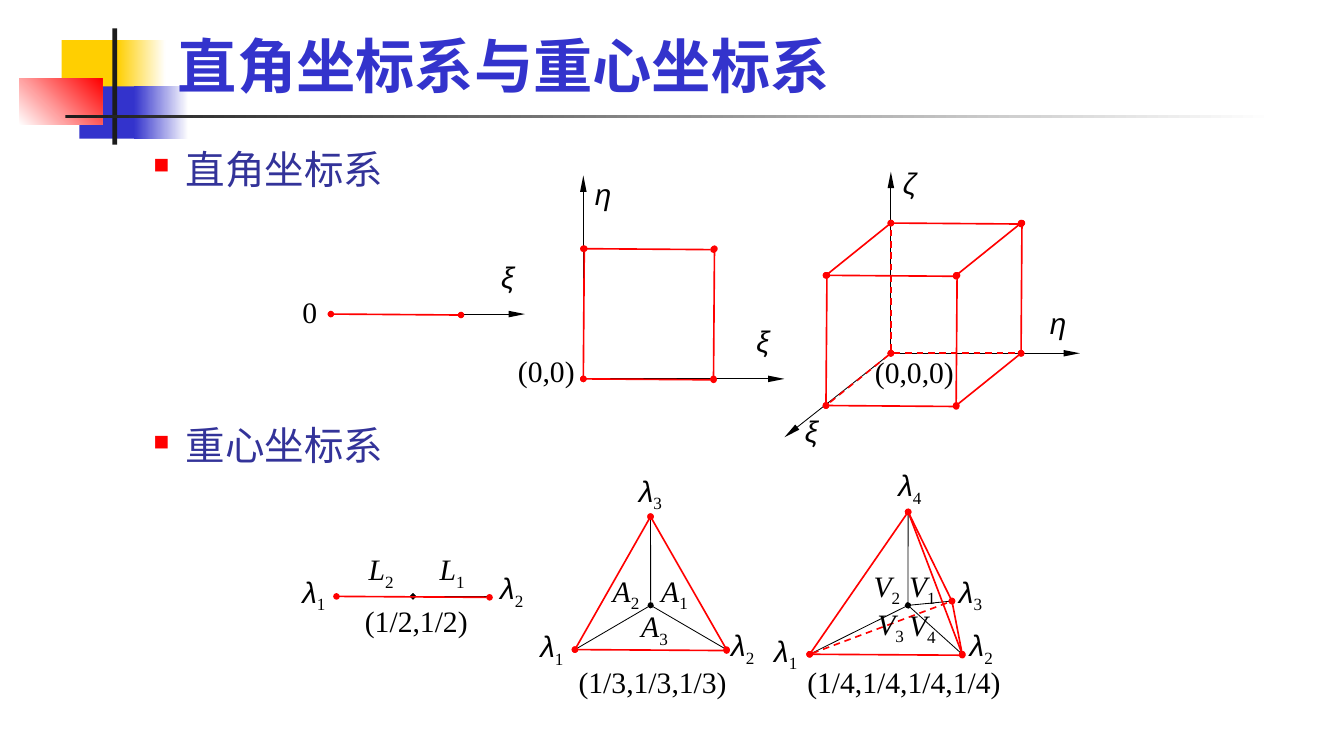
from dataclasses import dataclass
from itertools import combinations, product
from typing import NamedTuple

from lxml import etree
from pptx import Presentation
from pptx.dml.color import RGBColor
from pptx.enum.dml import MSO_LINE_DASH_STYLE as Dash
from pptx.enum.shapes import MSO_CONNECTOR as Connector, MSO_SHAPE as Shape
from pptx.enum.text import MSO_ANCHOR as Anchor, MSO_AUTO_SIZE as AutoSize, PP_ALIGN as Align
from pptx.oxml.ns import qn
from pptx.util import Cm, Pt

BLACK, RED, WHITE = "000000", "FF0000", "FFFFFF"
SERIF, SANS = "Times New Roman", "Arial"


class Point(NamedTuple):
    x: float
    y: float


@dataclass(frozen=True)
class Band:
    left: float
    top: float
    width: float
    height: float
    start: str
    end: str = ""
    angle: float = 0


@dataclass(frozen=True)
class Stroke:
    colour: str
    width: float
    head: str = ""
    tail: str = ""
    dashed: bool = False


@dataclass(frozen=True)
class Label:
    text: str
    x: float
    y: float
    width: float = 0.58
    sub: str = ""


@dataclass(frozen=True)
class Simplex:
    vertices: tuple[Point, ...]
    labels: tuple[Label, ...]
    hidden: tuple[int, int] | None = None


AXIS = Stroke(BLACK, 0.5, "diamond", "triangle")
MEDIAN = Stroke(BLACK, 0.5, "diamond")
EDGE = Stroke(RED, 1, "oval", "oval")
HIDDEN_EDGE = Stroke(RED, 1, "oval", "oval", dashed=True)
SKEW = 0.02  # keeps upright and level edges at full weight on screen

BANDS = [
    Band(1.32, 0.86, 1.37, 1.12, "FFCF01"),
    Band(2.51, 0.86, 1.04, 1.12, "FFCF01", WHITE),
    Band(1.7, 1.85, 1.32, 1.12, "3333CC"),
    Band(2.87, 1.85, 1.17, 1.12, "3333CC", WHITE),
    Band(0.41, 1.68, 1.78, 0.99, WHITE, RED, 45),
    Band(2.41, 0.61, 0.1, 2.49, "1C1C1C"),
    Band(1.4, 2.46, 25.91, 0.08, "1C1C1C", WHITE),
]

# Cartesian frames: origin, axis ends, labels
SIDE = 2.79
LINE_ORIGIN = Point(7.09, 6.73)
SQUARE_ORIGIN = Point(12.5, 8.12)
CUBE_ORIGIN = Point(19.09, 7.57)
CUBE_DEPTH = Point(-1.39, 1.12)
AXES = [
    (CUBE_ORIGIN, Point(16.81, 9.37)),
    (CUBE_ORIGIN, Point(23.14, 7.57)),
    (CUBE_ORIGIN, Point(19.09, 3.68)),
    (SQUARE_ORIGIN, Point(12.5, 3.76)),
    (SQUARE_ORIGIN, Point(16.81, 8.12)),
    (LINE_ORIGIN, Point(11.25, 6.73)),
]
CARTESIAN_LABELS = [
    Label("ξ", 10.74, 5.54), Label("ξ", 16.21, 6.93), Label("η", 22.5, 6.53),
    Label("η", 12.75, 3.76), Label("ζ", 19.35, 3.53), Label("ξ", 17.25, 8.84),
    Label("0", 6.48, 6.3), Label("(0,0)", 11.1, 7.57, 1.47),
    Label("(0,0,0)", 18.75, 7.59, 2.11),
]

# Barycentric frames: vertices in the order λ1, λ2, ...
SIMPLICES = [
    Simplex(
        (Point(7.21, 12.78), Point(10.49, 12.78)),
        (Label("λ", 6.48, 12.29, sub="1"), Label("λ", 10.72, 12.22, sub="2"),
         Label("(1/2,1/2)", 7.82, 12.93, 2.3),
         Label("L", 9.42, 11.81, sub="1"), Label("L", 7.9, 11.81, sub="2")),
    ),
    Simplex(
        (Point(12.32, 13.92), Point(15.57, 13.92), Point(13.94, 11.07)),
        (Label("λ", 11.58, 13.46, sub="1"), Label("λ", 15.67, 13.44, sub="2"),
         Label("λ", 13.69, 10.13, sub="3"), Label("(1/3,1/3,1/3)", 12.4, 14.22, 3.3),
         Label("A", 14.17, 12.27, sub="1"), Label("A", 13.13, 12.27, sub="2"),
         Label("A", 13.74, 13.03, sub="3")),
    ),
    Simplex(
        (Point(17.35, 14.02), Point(20.62, 14.02), Point(20.4, 12.88), Point(19.46, 10.97)),
        (Label("λ", 16.59, 13.56, sub="1"), Label("λ", 20.78, 13.44, sub="2"),
         Label("λ", 20.55, 12.29, sub="3"), Label("λ", 19.25, 10.01, sub="4"),
         Label("(1/4,1/4,1/4,1/4)", 17.3, 14.22, 4.4),
         Label("V", 19.48, 12.17, sub="1"), Label("V", 18.72, 12.17, sub="2"),
         Label("V", 18.8, 12.98, sub="3"), Label("V", 19.48, 13.0, sub="4")),
        hidden=(0, 2),
    ),
]


def rgb(colour: str) -> RGBColor:
    return RGBColor.from_string(colour)


def draw_band(shapes, band: Band) -> None:
    bar = shapes.add_shape(Shape.RECTANGLE, Cm(band.left), Cm(band.top),
                           Cm(band.width), Cm(band.height))
    bar.shadow.inherit = False
    bar.line.fill.background()
    if not band.end:
        bar.fill.solid()
        bar.fill.fore_color.rgb = rgb(band.start)
        return
    bar.fill.gradient()
    bar.fill.gradient_angle = band.angle
    for stop, colour in zip(bar.fill.gradient_stops, (band.start, band.end)):
        stop.color.rgb = rgb(colour)


def draw_line(shapes, start: Point, end: Point, stroke: Stroke) -> None:
    if stroke == EDGE:
        end = Point(end.x + SKEW * (abs(end.x - start.x) < 0.01),
                    end.y + SKEW * (abs(end.y - start.y) < 0.01))
    segment = shapes.add_connector(Connector.STRAIGHT, Cm(start.x), Cm(start.y),
                                   Cm(end.x), Cm(end.y))
    segment.line.color.rgb = rgb(stroke.colour)
    segment.line.width = Pt(stroke.width)
    if stroke.dashed:
        segment.line.dash_style = Dash.DASH
    outline = segment.line._get_or_add_ln()
    for tag, kind in (("a:headEnd", stroke.head), ("a:tailEnd", stroke.tail)):
        if kind:
            length = "lg" if kind == "triangle" else "sm"
            etree.SubElement(outline, qn(tag), type=kind, w="sm", len=length)
    etree.SubElement(segment._element.spPr, qn("a:effectLst"))


def draw_label(shapes, label: Label) -> None:
    frame = shapes.add_textbox(Cm(label.x), Cm(label.y), Cm(label.width), Cm(0.76)).text_frame
    frame.margin_left = frame.margin_right = frame.margin_top = frame.margin_bottom = 0
    frame.word_wrap = not label.sub
    frame.auto_size = AutoSize.SHAPE_TO_FIT_TEXT
    line = frame.paragraphs[0]
    line.alignment = Align.JUSTIFY
    line.font.size = Pt(18)
    line.font.color.rgb = rgb(BLACK)
    symbol = line.add_run()
    symbol.text = label.text
    symbol.font.name = SANS if label.text in "ξηζλ" else SERIF
    symbol.font.italic = label.text.isalpha()
    if label.sub:
        index = line.add_run()
        index.text = label.sub
        index.font.name = SERIF
        index._r.get_or_add_rPr().set("baseline", "-25000")


def draw_heading(shapes, text: str, left: float, top: float, width: float, height: float,
                 size: float, colour: str, bullet: bool) -> None:
    frame = shapes.add_textbox(Cm(left), Cm(top), Cm(width), Cm(height)).text_frame
    frame.margin_left = frame.margin_right = Cm(0.23)
    frame.margin_top = frame.margin_bottom = Cm(0.11)
    frame.word_wrap = True
    line = frame.paragraphs[0]
    line.text = text
    if bullet:
        props = line._p.get_or_add_pPr()
        props.set("marL", str(Cm(1.77)))
        props.set("indent", str(Cm(-0.69)))
        etree.SubElement(etree.SubElement(props, qn("a:buClr")), qn("a:srgbClr"), val=RED)
        etree.SubElement(props, qn("a:buSzPct"), val="55000")
        etree.SubElement(props, qn("a:buChar"), char="■")
    else:
        frame.vertical_anchor = Anchor.BOTTOM
        frame.auto_size = AutoSize.SHAPE_TO_FIT_TEXT
    line.font.name = SERIF
    line.font.size = Pt(size)
    line.font.bold = not bullet
    line.font.color.rgb = rgb(colour)


def draw_box_edges(shapes, origin: Point, dimension: int) -> None:
    """Unit segment, square or cube; edges at the cube's origin are hidden."""
    steps = (Point(SIDE, 0), Point(0, -SIDE), CUBE_DEPTH)[:dimension]
    for near, far in combinations(product((0, 1), repeat=dimension), 2):
        if sum(a != b for a, b in zip(near, far)) == 1:
            start, end = (
                Point(origin.x + sum(bit * step.x for bit, step in zip(corner, steps)),
                      origin.y + sum(bit * step.y for bit, step in zip(corner, steps)))
                for corner in (near, far))
            hidden = dimension == 3 and not any(near)
            draw_line(shapes, start, end, HIDDEN_EDGE if hidden else EDGE)


def draw_simplex(shapes, simplex: Simplex) -> None:
    count = len(simplex.vertices)
    centroid = Point(sum(v.x for v in simplex.vertices) / count,
                     sum(v.y for v in simplex.vertices) / count)
    for vertex in simplex.vertices:
        draw_line(shapes, centroid, vertex, MEDIAN)
    for pair in combinations(range(count), 2):
        start, end = (simplex.vertices[i] for i in pair)
        draw_line(shapes, start, end, HIDDEN_EDGE if pair == simplex.hidden else EDGE)
    for label in simplex.labels:
        draw_label(shapes, label)


def main() -> None:
    deck = Presentation()
    deck.slide_width, deck.slide_height = Cm(28.8), Cm(16.2)
    shapes = deck.slides.add_slide(deck.slide_layouts[6]).shapes

    # Ornament and headings
    for band in BANDS:
        draw_band(shapes, band)
    draw_heading(shapes, "直角坐标系与重心坐标系", 3.58, 0.51, 24.56, 1.75, 36, "3333CC", False)
    for text, top in (("直角坐标系", 3.0), ("重心坐标系", 8.92)):
        draw_heading(shapes, text, 1.98, top, 25.91, 1.2, 24, "333399", True)

    # Cartesian coordinates
    cartesian = shapes.add_group_shape().shapes
    for origin, end in AXES:
        draw_line(cartesian, origin, end, AXIS)
    for dimension, origin in enumerate((LINE_ORIGIN, SQUARE_ORIGIN, CUBE_ORIGIN), 1):
        draw_box_edges(cartesian, origin, dimension)
    for label in CARTESIAN_LABELS:
        draw_label(cartesian, label)

    # Barycentric coordinates
    for simplex in SIMPLICES:
        draw_simplex(shapes.add_group_shape().shapes, simplex)

    deck.save("out.pptx")


if __name__ == "__main__":
    main()
